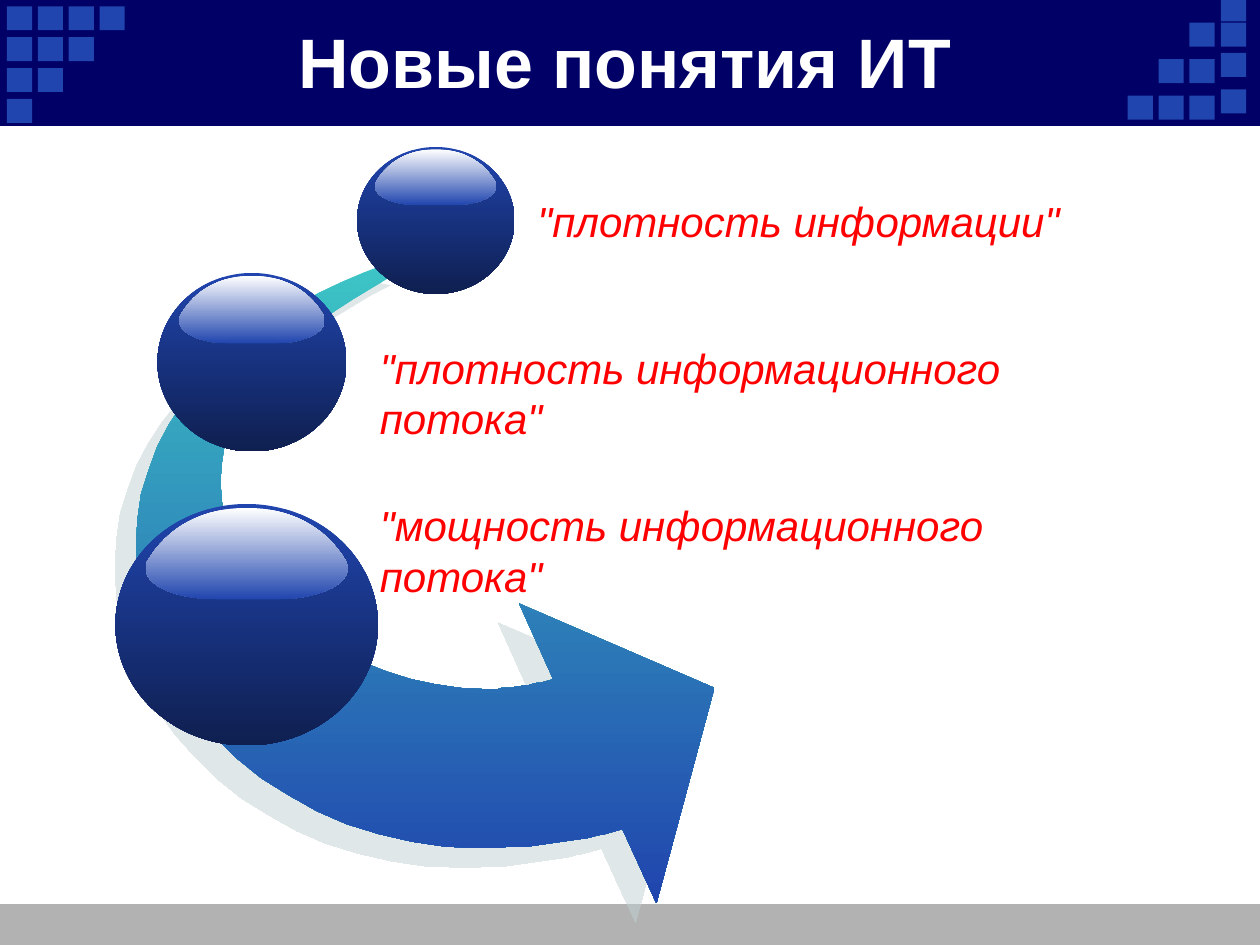
from pptx import Presentation
from pptx.dml.color import RGBColor
from pptx.enum.shapes import MSO_SHAPE
from pptx.enum.text import MSO_ANCHOR, PP_ALIGN
from pptx.util import Inches, Pt
from lxml.etree import SubElement
from pptx.oxml.ns import qn

THEME = {
    "font": "Arial", "head": 40, "body": 24,
    "navy": "000066", "blue": "2045AE", "dark": "0F1F50", "teal": "3DC5C5",
    "gray": "B2B2B2", "shade": "C1D1D3", "white": "FFFFFF", "red": "FF0000",
}

deck = Presentation()
deck.slide_width, deck.slide_height = Inches(10), Inches(7.5)
slide = deck.slides.add_slide(deck.slide_layouts[6])
shapes = slide.shapes
UNIT = deck.slide_width / 120  # grid of 120 columns by 90 rows
CENT = deck.slide_width / 1000  # fine share for squares and the arrow
STEPS = 16  # straight pieces in each bend of a curve


def paint(shape, top, end=None):
    """Fill flat, or from top to end, with no outline or shadow."""
    shape.shadow.inherit = False
    shape.line.fill.background()
    if end is None:
        shape.fill.solid()
        shape.fill.fore_color.rgb = RGBColor.from_string(THEME[top])
        return
    shape.fill.gradient()
    shape.fill.gradient_angle = 270
    for stop, name in zip(shape.fill.gradient_stops, (top, end)):
        stop.color.rgb = RGBColor.from_string(THEME[name])


def curve(*knots):
    """Trace joined cubic bends: an end, two pulls, an end, two pulls, ..."""
    trace = [knots[0]]
    for i in range(0, len(knots) - 1, 3):
        for step in range(1, STEPS + 1):
            t = step / STEPS
            parts = ((1 - t) ** 3, 3 * t * (1 - t) ** 2,
                     3 * t ** 2 * (1 - t), t ** 3)
            trace.append(tuple(
                sum(part * knot[axis] for part, knot in zip(parts, knots[i:i + 4]))
                for axis in (0, 1)))
    return trace


# Footer and header bands
for row, tall, color in ((86.1, 3.9, "gray"), (0, 12, "navy")):
    band = shapes.add_shape(MSO_SHAPE.RECTANGLE, 0, int(row * UNIT),
                            deck.slide_width, int(tall * UNIT))
    paint(band, color)

# Corner stairs of squares: falling on the left, rising on the right
PITCH = 24.5
tiles = [(5.5 + PITCH * col, 5 + PITCH * row)
         for col in range(4) for row in range(4 - col)]
tiles += [(895 + PITCH * col, 76 - 29 * row)
          for col in range(3) for row in range(col + 1)]
tiles += [(969, top) for top in (-2, 18, 42, 71)]  # uneven last column
for left, top in tiles:
    tile = shapes.add_shape(MSO_SHAPE.RECTANGLE, int(left * CENT),
                            int(top * CENT), int(20 * CENT), int(19 * CENT))
    paint(tile, "blue")

# Curved arrow: both edges run through their leftmost and lowest points
outer = curve((311, 208), (208, 245), (108, 315),
              (108, 435), (108, 563), (231, 673),
              (382, 673), (420, 673), (458, 668), (494, 658))
head = [(521, 717), (567, 546), (412, 479)]
inner = curve((439, 539), (421, 544), (403, 547),
              (385, 547), (278, 547), (175, 466),
              (175, 382), (175, 307), (242, 255), (327, 211))
edge = outer + head + inner
pen = shapes.build_freeform(*edge[0], scale=CENT)
pen.add_line_segments(edge[1:], close=True)
arrow = pen.convert_to_shape()
paint(arrow, "teal", "blue")

# Arrow shadow, down and to the left
cast = SubElement(arrow.element.spPr.find(qn("a:effectLst")), qn("a:outerShdw"),
                  dist=str(Pt(16.3)), dir=str(137 * 60000), algn="ctr",
                  rotWithShape="0")
tint = SubElement(cast, qn("a:srgbClr"), val=THEME["shade"])
SubElement(tint, qn("a:alpha"), val="50000")

# Balls, each with a gloss in percent of the ball: a right half and its mirror
right = curve((50, 1.6), (66, 1.6), (80, 9),
              (88, 24), (91, 32), (80, 39.5), (60, 39.5))
gloss = right + [(100 - x, y) for x, y in reversed(right)]
for ball in ((34, 14, 15, 14), (15, 26, 18, 17), (11, 48, 25, 23)):
    left, top, wide, tall = (int(v * UNIT) for v in ball)
    orb = shapes.add_shape(MSO_SHAPE.OVAL, left, top, wide, tall)
    paint(orb, "blue", "dark")
    rim = [(left + x * wide / 100, top + y * tall / 100) for x, y in gloss]
    pen = shapes.build_freeform(*rim[0])
    pen.add_line_segments(rim[1:], close=True)
    paint(pen.convert_to_shape(), "white", "blue")

# Title and terms
for box, words, size, color in (
    ((11, 2, 97, 7.5), "Новые понятия ИТ", "head", "white"),
    ((50, 18, 56, 6), '"плотность информации"', "body", "red"),
    ((35, 32, 68, 11), '"плотность информационного потока"', "body", "red"),
    ((35, 47, 68, 11), '"мощность информационного потока"', "body", "red"),
):
    frame = shapes.add_textbox(*(int(v * UNIT) for v in box)).text_frame
    frame.word_wrap = True
    line = frame.paragraphs[0]
    run = line.add_run()
    run.text = words
    run.font.name = THEME["font"]
    run.font.size = Pt(THEME[size])
    run.font.color.rgb = RGBColor.from_string(THEME[color])
    if size == "head":
        frame.vertical_anchor = MSO_ANCHOR.MIDDLE
        line.alignment = PP_ALIGN.CENTER
        run.font.bold = True
    else:
        run.font.italic = True

deck.save("out.pptx")
